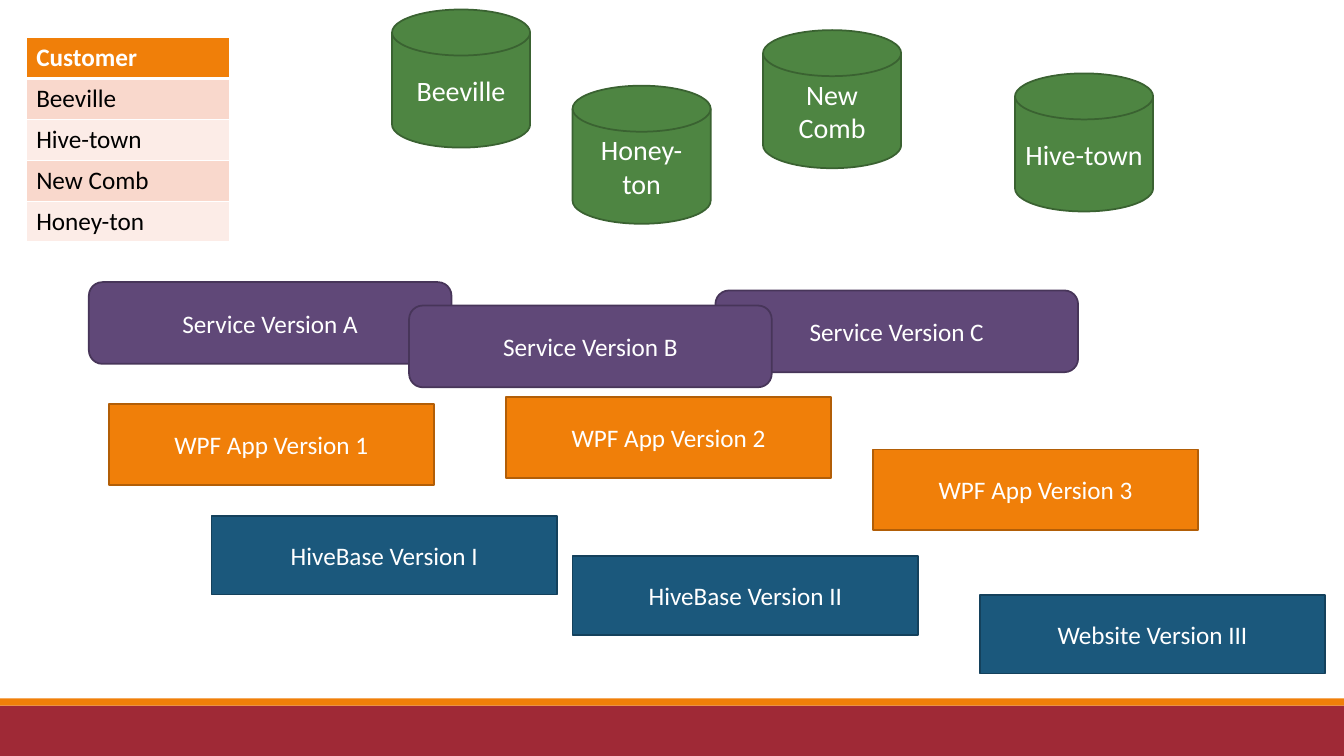
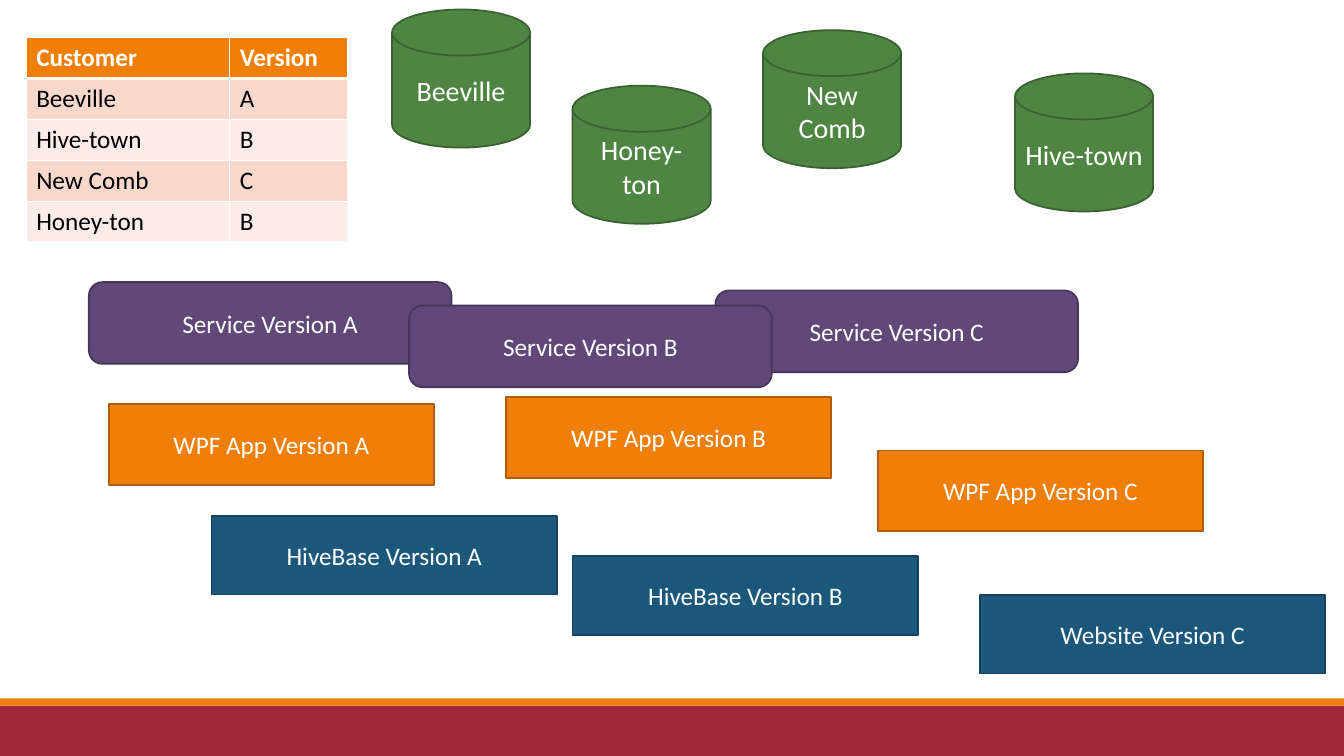
"""Build two slides matching customers with service, app and website versions."""
from lxml.etree import SubElement
from pptx import Presentation
from pptx.dml.color import RGBColor
from pptx.enum.shapes import MSO_SHAPE as Preset
from pptx.enum.text import MSO_ANCHOR as Anchor, PP_ALIGN as Align
from pptx.oxml.ns import qn
from pptx.util import Cm, Pt

COLORS = {
    "white": "FFFFFF", "black": "000000",
    "red": "9F2936", "orange": "F07F09", "orange_edge": "B25E07",
    "green": "4E8542", "green_edge": "3A6231",
    "blue": "1B587C", "blue_edge": "14415C",
    "purple": "604878", "purple_edge": "473559",
    "odd_row": "F9D8CC", "even_row": "FCECE7",
}
FONT = "Calibri"
SLIDE_WIDTH, SLIDE_HEIGHT = 33.87, 19.05
ROW_HEIGHT = 1.03
COLUMN_WIDTHS = [5.13, 2.97]

BANDS = [("red", 17.78, 1.27), ("orange", 17.6, 0.18)]

STYLES = {
    "database": (Preset.FLOWCHART_MAGNETIC_DISK, "green", 3.48, 3.48, 20),
    "app": (Preset.RECTANGLE, "orange", 8.2, 2.03, 18),
    "website": (Preset.RECTANGLE, "blue", 8.71, 1.98, 18),
    "service": (Preset.ROUNDED_RECTANGLE, "purple", 9.14, 2.06, 18),
}
SHARED_BOXES = [
    ("database", "Hive-town", 25.58, 1.85),
    ("database", "Beeville", 9.88, 0.24),
    ("database", "New Comb", 19.23, 0.76),
    ("database", "Honey-ton", 14.43, 2.16),
    ("service", "Service Version A", 2.24, 7.11),
    ("service", "Service Version C", 18.03, 7.32),
    ("service", "Service Version B", 10.31, 7.7),
]
WEBSITES = [("HiveBase", 5.33, 13), ("HiveBase", 14.43, 14.02), ("Website", 24.69, 14.99)]

SLIDES = [
    {
        "rows": [["Customer"], ["Beeville"], ["Hive-town"], ["New Comb"], ["Honey-ton"]],
        "app_versions": ["1", "2", "3"],
        "website_versions": ["I", "II", "III"],
        "last_app": (22, 11.33),
    },
    {
        "rows": [["Customer", "Version"], ["Beeville", "A"], ["Hive-town", "B"],
                 ["New Comb", "C"], ["Honey-ton", "B"]],
        "app_versions": ["A", "B", "C"],
        "website_versions": ["A", "B", "C"],
        "last_app": (22.12, 11.35),
    },
]


def write_text(text_frame, text, size=18, color="white", bold=False, align=Align.LEFT):
    paragraph = text_frame.paragraphs[0]
    paragraph.alignment = align
    run = paragraph.add_run()
    run.text = text
    run.font.name = FONT
    run.font.size = Pt(size)
    run.font.bold = bold
    run.font.color.rgb = RGBColor.from_string(COLORS[color])


def add_block(slide, preset, color, left, top, width, height, edge=None):
    shape = slide.shapes.add_shape(preset, Cm(left), Cm(top), Cm(width), Cm(height))
    shape.shadow.inherit = False
    shape.fill.solid()
    shape.fill.fore_color.rgb = RGBColor.from_string(COLORS[color])
    if edge:
        shape.line.color.rgb = RGBColor.from_string(COLORS[edge])
        shape.line.width = Pt(1.25)
    else:
        shape.line.fill.background()
    return shape


presentation = Presentation()
presentation.slide_width = Cm(SLIDE_WIDTH)
presentation.slide_height = Cm(SLIDE_HEIGHT)
blank_layout = presentation.slide_layouts[6]
master_tree = presentation.slide_master.shapes._spTree

for number, content in enumerate(SLIDES):
    slide = presentation.slides.add_slide(blank_layout)

    if number == 0:
        for color, top, height in BANDS:
            band = add_block(slide, Preset.RECTANGLE, color, 0, top, SLIDE_WIDTH, height)
            master_tree.append(band._element)

    app_places = [(2.74, 10.19), (12.75, 10.01), content["last_app"]]
    boxes = [("app", f"WPF App Version {version}", left, top)
             for version, (left, top) in zip(content["app_versions"], app_places)]
    boxes += [("website", f"{name} Version {version}", left, top)
              for version, (name, left, top) in zip(content["website_versions"], WEBSITES)]
    for style, text, left, top in boxes + SHARED_BOXES:
        preset, color, width, height, size = STYLES[style]
        box = add_block(slide, preset, color, left, top, width, height, edge=f"{color}_edge")
        box.text_frame.word_wrap = True
        box.text_frame.vertical_anchor = Anchor.MIDDLE
        write_text(box.text_frame, text, size=size, align=Align.CENTER)

    rows = content["rows"]
    widths = COLUMN_WIDTHS[:len(rows[0])]
    table = slide.shapes.add_table(len(rows), len(widths), Cm(0.66), Cm(0.95),
                                   Cm(sum(widths)), Cm(ROW_HEIGHT * len(rows))).table
    for column, width in zip(table.columns, widths):
        column.width = Cm(width)
    for row_index, values in enumerate(rows):
        table.rows[row_index].height = Cm(ROW_HEIGHT)
        header = row_index == 0
        fill = "orange" if header else "odd_row" if row_index % 2 else "even_row"
        borders = {"a:lnL": 1, "a:lnR": 1,
                   "a:lnT": 3 if row_index == 1 else 1, "a:lnB": 3 if header else 1}
        for column_index, value in enumerate(values):
            cell = table.cell(row_index, column_index)
            write_text(cell.text_frame, value, color="white" if header else "black", bold=header)
            properties = cell._tc.get_or_add_tcPr()
            for tag, points in borders.items():
                border = SubElement(properties, qn(tag), w=str(Pt(points)))
                border_fill = SubElement(border, qn("a:solidFill"))
                SubElement(border_fill, qn("a:srgbClr"), val=COLORS["white"])
            cell.fill.solid()
            cell.fill.fore_color.rgb = RGBColor.from_string(COLORS[fill])

presentation.save("out.pptx")
